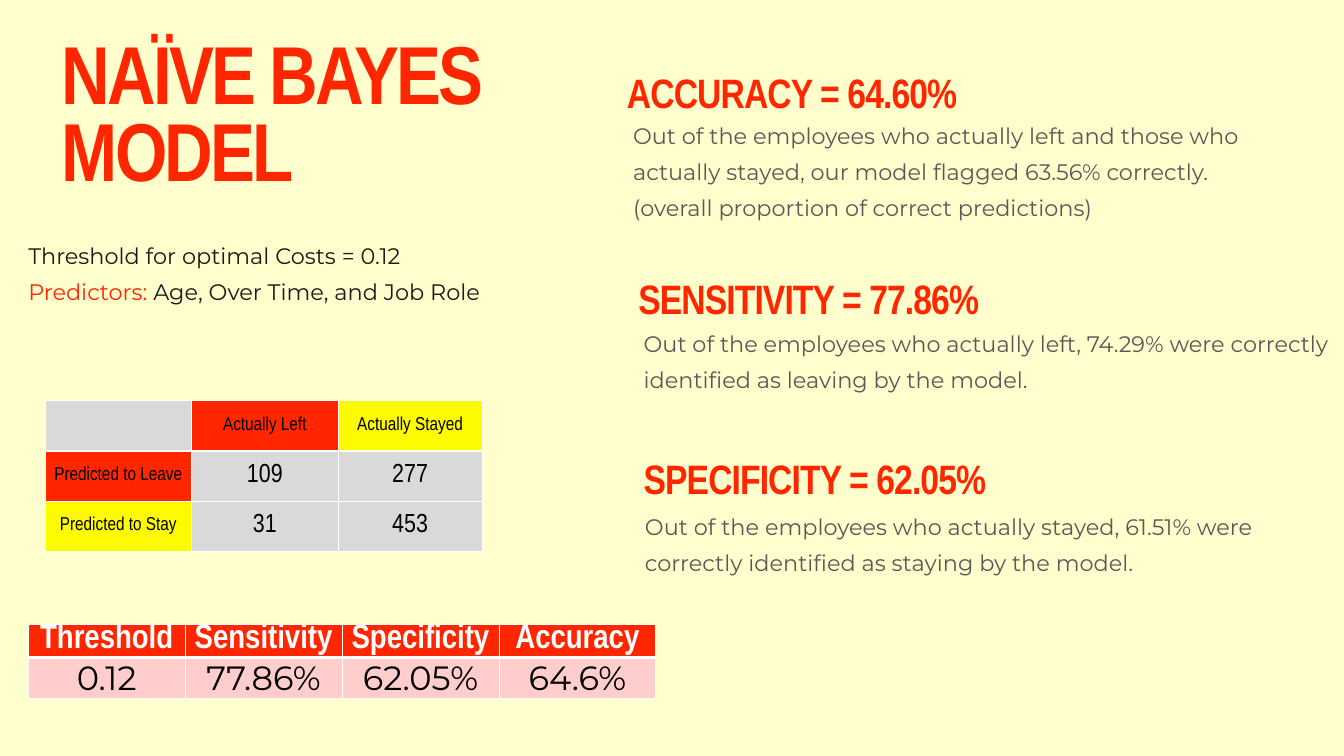
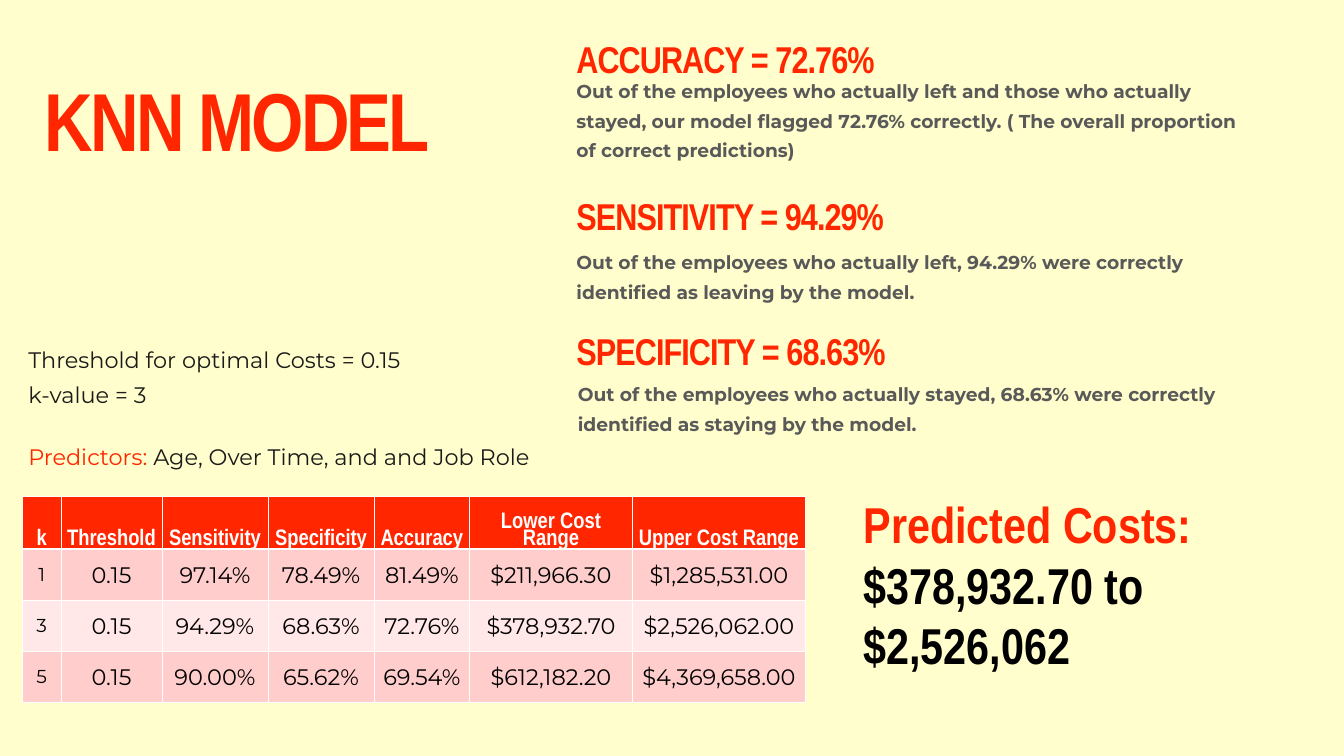
from dataclasses import dataclass

from lxml.etree import SubElement
from pptx import Presentation
from pptx.dml.color import RGBColor
from pptx.enum.text import MSO_ANCHOR, MSO_AUTO_SIZE, PP_ALIGN
from pptx.oxml.ns import qn
from pptx.util import Cm, Pt


@dataclass(frozen=True)
class Theme:
    cream: str = "FFFECC"
    red: str = "FF2600"
    yellow: str = "FEFB00"
    gray: str = "D9D9D9"
    pink: str = "FFCDCC"
    pale_pink: str = "FFE8E7"
    white: str = "FFFFFF"
    black: str = "000000"
    ink: str = "1A1A1A"
    muted: str = "595959"
    narrow: str = "Arial Narrow"
    body: str = "Montserrat"
    title_size: int = 88
    cost_size: int = 54
    heading_size: int = 44
    small_heading_size: int = 40
    result_size: int = 36
    count_size: int = 28
    text_size: int = 24
    small_size: int = 20
    body_spacing: float = 1.33


THEME = Theme()


def rgb(value):
    return RGBColor.from_string(value)


def write_text(frame, paragraphs, *, size, font=THEME.body, color=THEME.black,
               bold=False, tracking=0, spacing=None, align=PP_ALIGN.LEFT):
    """Write paragraphs, each a string or a list of (text, color) spans."""
    for index, content in enumerate(paragraphs):
        para = frame.add_paragraph() if index else frame.paragraphs[0]
        para.alignment = align
        if spacing:
            para.line_spacing = spacing
        spans = [(content, color)] if isinstance(content, str) else content
        for text, span_color in spans:
            span = para.add_run()
            span.text = text
            span.font.size = Pt(size)
            span.font.name = font
            span.font.bold = bold
            span.font.color.rgb = rgb(span_color)
            if tracking:
                span._r.get_or_add_rPr().set("spc", str(tracking * 100))


def add_text(slide, area, paragraphs, *, padded=False, **text_format):
    """Add a text box; a padded one has margins and fits its text from the top."""
    box = slide.shapes.add_textbox(*map(Cm, area))
    frame = box.text_frame
    frame.word_wrap = True
    if padded:
        frame.auto_size = MSO_AUTO_SIZE.SHAPE_TO_FIT_TEXT
    else:
        frame.vertical_anchor = MSO_ANCHOR.MIDDLE
        frame.margin_left = frame.margin_right = 0
        frame.margin_top = frame.margin_bottom = 0
    write_text(frame, paragraphs, **text_format)
    return frame


def add_title(slide, area, text):
    add_text(slide, area, [text], size=THEME.title_size, font=THEME.narrow,
             color=THEME.red, bold=True, tracking=-3, spacing=0.78)


def add_facts(slide, area, facts, predictors):
    """Add model settings followed by the line of predictors."""
    names = [("Predictors: ", THEME.red), (predictors, THEME.ink)]
    return add_text(slide, area, [*facts, names], size=THEME.text_size,
                    color=THEME.ink, spacing=THEME.body_spacing)


def add_metric(slide, heading, heading_area, lines, text_area, *,
               heading_size, text_size, bold=False, padded=False):
    add_text(slide, text_area, lines, padded=padded, size=text_size, bold=bold,
             color=THEME.muted, spacing=THEME.body_spacing)
    add_text(slide, heading_area, [heading], size=heading_size, bold=True,
             font=THEME.narrow, color=THEME.red, tracking=-1, spacing=0.91)


def set_borders(cell, bottom):
    properties = cell._tc.get_or_add_tcPr()
    for side, width in (("L", 1), ("R", 1), ("T", 1), ("B", bottom)):
        line = SubElement(properties, qn(f"a:ln{side}"), w=str(Pt(width)))
        fill = SubElement(line, qn("a:solidFill"))
        SubElement(fill, qn("a:srgbClr"), val=THEME.white)


def add_grid(slide, corner, widths, heights, rows, style):
    """Add a table; style(row, column) gives fill, anchor, tight and text format."""
    size = sum(widths), sum(heights)
    table = slide.shapes.add_table(len(rows), len(widths),
                                   *map(Cm, (*corner, *size))).table
    table.first_row = table.horz_banding = False
    for column, width in zip(table.columns, widths):
        column.width = Cm(width)
    for row, height in zip(table.rows, heights):
        row.height = Cm(height)
    for row_index, values in enumerate(rows):
        for column_index, value in enumerate(values):
            cell = table.cell(row_index, column_index)
            look = style(row_index, column_index)
            set_borders(cell, bottom=1 if row_index else 3)
            cell.fill.solid()
            cell.fill.fore_color.rgb = rgb(look.pop("fill"))
            cell.vertical_anchor = look.pop("anchor", MSO_ANCHOR.MIDDLE)
            if look.pop("tight", False):
                cell.margin_left = cell.margin_right = cell.margin_top = Cm(0.03)
                cell.margin_bottom = 0
            if value:
                write_text(cell.text_frame, [value], align=PP_ALIGN.CENTER, **look)


def header_style(size, anchor):
    return dict(fill=THEME.red, size=size, font=THEME.narrow, color=THEME.white,
                bold=True, spacing=0.8, anchor=anchor, tight=True)


def matrix_style(row, column):
    if row and column:
        return dict(fill=THEME.gray, size=THEME.count_size, font=THEME.narrow)
    fill = (THEME.gray, THEME.red, THEME.yellow)[row + column]
    return dict(fill=fill, size=THEME.small_size, font=THEME.narrow)


def result_style(row, column):
    if row == 0:
        return header_style(THEME.result_size, MSO_ANCHOR.MIDDLE)
    return dict(fill=THEME.pink, size=THEME.result_size, tight=True)


def neighbor_style(row, column):
    if row == 0:
        return header_style(THEME.text_size, MSO_ANCHOR.BOTTOM)
    return dict(fill=THEME.pink if row % 2 else THEME.pale_pink, tight=True,
                size=THEME.text_size if column else THEME.small_size)


def add_slide(deck):
    slide = deck.slides.add_slide(deck.slide_layouts[6])
    slide.background.fill.solid()
    slide.background.fill.fore_color.rgb = rgb(THEME.cream)
    return slide


def build_bayes_slide(deck):
    slide = add_slide(deck)
    add_title(slide, (2.34, 1.37, 20.24, 6.35), "NAÏVE BAYES MODEL")
    add_facts(slide, (1.07, 8.2, 19.89, 3.96),
              ["Threshold for optimal Costs = 0.12"], "Age, Over Time, and Job Role")
    sizes = dict(heading_size=THEME.heading_size, text_size=THEME.text_size)
    add_metric(slide, "ACCURACY = 64.60%", (23.7, 2.64, 17.35, 1.88),
               ["Out of the employees who actually left and those who actually "
                "stayed, our model flagged 63.56% correctly.",
                "(overall proportion of correct predictions)"],
               (23.93, 4.34, 25.83, 3.96), **sizes)
    add_metric(slide, "SENSITIVITY = 77.86%", (24.13, 10.46, 19.05, 1.88),
               ["Out of the employees who actually left, 74.29% were correctly "
                "identified as leaving by the model."],
               (24.33, 11.53, 26.47, 3.96), **sizes)
    add_metric(slide, "SPECIFICITY = 62.05%", (24.33, 17.25, 20.32, 1.88),
               ["Out of the employees who actually stayed, 61.51% were correctly "
                "identified as staying by the model."],
               (24.13, 18.95, 26.67, 2.84), padded=True, **sizes)
    add_grid(slide, (1.07, 23.6), [5.93] * 4, [1.17, 1.57],
             [("Threshold", "Sensitivity", "Specificity", "Accuracy"),
              ("0.12", "77.86%", "62.05%", "64.6%")], result_style)
    add_grid(slide, (1.7, 15.14), [5.54, 5.54, 5.44], [1.9] * 3,
             [("", "Actually Left", "Actually Stayed"),
              ("Predicted to Leave", "109", "277"),
              ("Predicted to Stay", "31", "453")], matrix_style)


def build_neighbors_slide(deck):
    slide = add_slide(deck)
    add_title(slide, (1.7, 3.28, 20.24, 3.18), "KNN MODEL")
    facts = add_facts(slide, (1.07, 12.4, 19.69, 5.72),
                      ["Threshold for optimal Costs = 0.15", "k-value = 3"],
                      "Age, Over Time, and and Job Role")
    facts.paragraphs[-1].space_before = Pt(28)
    look = dict(heading_size=THEME.small_heading_size,
                text_size=THEME.small_size, bold=True)
    left = 21.79
    add_metric(slide, "ACCURACY = 72.76%", (left, 1.37, 15.67, 1.88),
               ["Out of the employees who actually left and those who actually "
                "stayed, our model flagged 72.76% correctly. ( The overall "
                "proportion of correct predictions)"],
               (left, 2.44, 25.83, 3.96), **look)
    add_metric(slide, "SENSITIVITY = 94.29%", (left, 7.32, 16.94, 1.88),
               ["Out of the employees who actually left, 94.29% were correctly "
                "identified as leaving by the model."],
               (left, 8.36, 26.47, 3.96), **look)
    add_metric(slide, "SPECIFICITY = 68.63%", (left, 12.4, 16.31, 1.88),
               ["Out of the employees who actually stayed, 68.63% were correctly "
                "identified as staying by the model."],
               (21.59, 14.07, 26.67, 2.41), padded=True, **look)
    add_grid(slide, (0.84, 18.75), [1.47, 3.81, 4.01, 4.01, 3.61, 6.15, 6.55],
             [2.01] + [1.93] * 3,
             [("k", "Threshold", "Sensitivity", "Specificity", "Accuracy",
               "Lower Cost Range", "Upper Cost Range"),
              ("1", "0.15", "97.14%", "78.49%", "81.49%",
               "$211,966.30", "$1,285,531.00"),
              ("3", "0.15", "94.29%", "68.63%", "72.76%",
               "$378,932.70", "$2,526,062.00"),
              ("5", "0.15", "90.00%", "65.62%", "69.54%",
               "$612,182.20", "$4,369,658.00")], neighbor_style)
    add_text(slide, (32.39, 18.52, 15.44, 7.19),
             [[("Predicted Costs:", THEME.red)], "$378,932.70 to $2,526,062"],
             padded=True, size=THEME.cost_size, font=THEME.narrow, bold=True)


def main():
    deck = Presentation()
    deck.slide_width, deck.slide_height = Cm(50.8), Cm(28.58)
    build_bayes_slide(deck)
    build_neighbors_slide(deck)
    deck.save("out.pptx")


if __name__ == "__main__":
    main()
